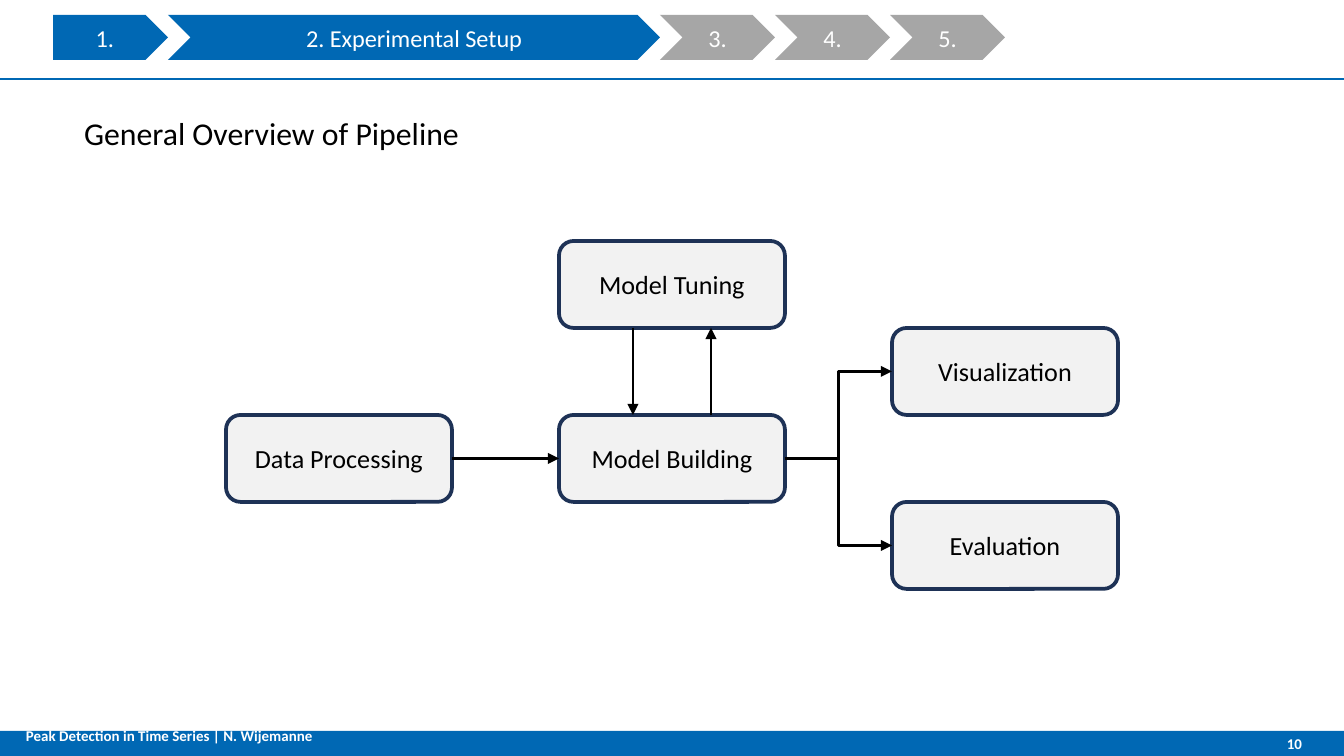
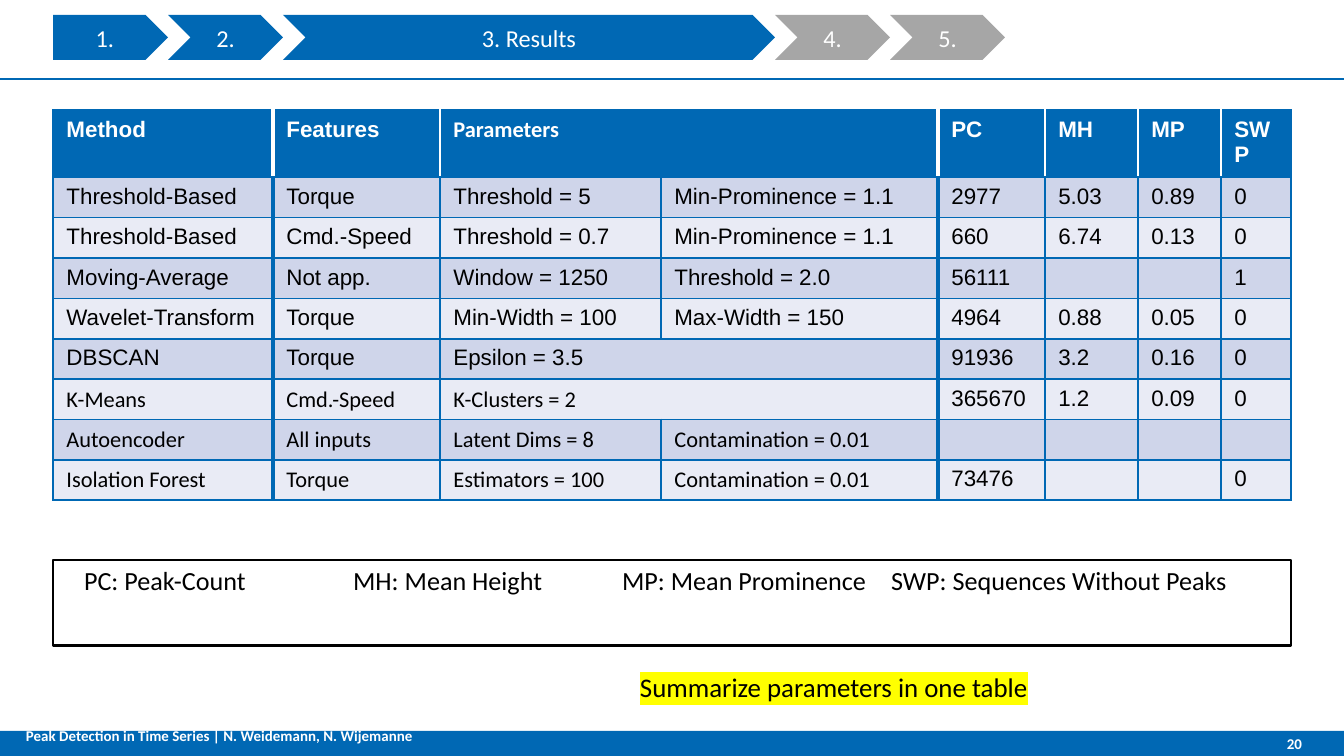
from dataclasses import dataclass

from lxml.etree import SubElement
from pptx import Presentation
from pptx.dml.color import RGBColor
from pptx.enum.shapes import MSO_CONNECTOR as Link, MSO_SHAPE as Shape
from pptx.enum.text import MSO_ANCHOR as Anchor, PP_ALIGN as Align
from pptx.oxml.ns import qn
from pptx.util import Pt

FOOTER = "Peak Detection in Time Series | "
TOPICS = ["", "Experimental Setup", "Results", "", ""]

PIPELINE_TITLE = "General Overview of Pipeline"
STAGES = {
    "Data Processing": (0, 2),
    "Model Building": (1, 2),
    "Model Tuning": (1, 0),
    "Visualization": (2, 1),
    "Evaluation": (2, 3),
}
FLOWS = [
    ("Data Processing", "Model Building", Link.STRAIGHT),
    ("Model Building", "Visualization", Link.ELBOW),
    ("Model Building", "Evaluation", Link.ELBOW),
]

RESULTS = [
    ("Method", "Features", "Parameters", None, "PC", "MH", "MP", "SWP"),
    ("Threshold-Based", "Torque", "Threshold = 5", "Min-Prominence = 1.1", "2977", "5.03", "0.89", "0"),
    ("Threshold-Based", "Cmd.-Speed", "Threshold = 0.7", "Min-Prominence = 1.1", "660", "6.74", "0.13", "0"),
    ("Moving-Average", "Not app.", "Window = 1250", "Threshold = 2.0", "56111", "", "", "1"),
    ("Wavelet-Transform", "Torque", "Min-Width = 100", "Max-Width = 150", "4964", "0.88", "0.05", "0"),
    ("DBSCAN", "Torque", "Epsilon = 3.5", None, "91936", "3.2", "0.16", "0"),
    ("K-Means", "Cmd.-Speed", "K-Clusters = 2", None, "365670", "1.2", "0.09", "0"),
    ("Autoencoder", "All inputs", "Latent Dims = 8", "Contamination = 0.01", "", "", "", ""),
    ("Isolation Forest", "Torque", "Estimators = 100", "Contamination = 0.01", "73476", "", "", "0"),
]
COLUMN_WIDTHS = [220, 167, 221, 277, 107, 93, 83, 70]
HEADER_HEIGHT, ROW_HEIGHT = 67, 40
THICK_EDGES = (1, 4)
FIRST_CALIBRI_ROW = 6
LEGEND = ["PC: Peak-Count", "MH: Mean Height", "MP: Mean Prominence", "SWP: Sequences Without Peaks"]
REMARK = "Summarize parameters in one table"


@dataclass(frozen=True)
class Theme:
    blue: str = "0068B4"
    navy: str = "1E3256"
    gray: str = "A6A6A6"
    pale: str = "F2F2F2"
    white: str = "FFFFFF"
    black: str = "000000"
    yellow: str = "FFFF00"
    bands: tuple = ("E9EBF5", "CFD5EA")
    font: str = "Calibri"
    table_font: str = "Arial"
    title: float = 17
    remark: float = 14.4
    body: float = 14
    step: float = 13
    cell: float = 12
    footer: float = 8
    line: float = 1.5
    stage_line: float = 2
    thin: float = 1
    thick: float = 2.25


THEME = Theme()
WIDTH, HEIGHT = 1344, 756
LEFT, CONTENT_TOP, CONTENT_WIDTH = 53, 110, 1238
STEP_TOP, STEP_WIDTH, WIDE_STEP, STEP_HEIGHT = 15, 115, 492, 45
BAR_TOP, BAR_HEIGHT = 731, 25
STAGE_LEFT, STAGE_TOP, STAGE_WIDTH, STAGE_HEIGHT = 226, 241, 226, 87
STAGE_PITCH = 333
TAB = 269


def px(value):
    return round(value * 914400 / 134.4)


def rgb(value):
    return RGBColor.from_string(value)


def write(frame, text, size, color=THEME.black, bold=False, align=Align.LEFT,
          anchor=Anchor.TOP, font=THEME.font, spacing=None, insets=None):
    frame.word_wrap = True
    frame.vertical_anchor = anchor
    if insets:
        (frame.margin_left, frame.margin_top,
         frame.margin_right, frame.margin_bottom) = map(px, insets)
    para = frame.paragraphs[0]
    para.text = text
    return style(para, size, color, bold, align, font, spacing)


def style(para, size, color, bold, align, font, spacing=None):
    para.alignment = align
    if spacing:
        para.line_spacing = spacing
    para.font.size = Pt(size)
    para.font.name = font
    para.font.bold = bold
    para.font.color.rgb = rgb(color)
    return para


def add_box(page, kind, place, fill=None, line=None, weight=THEME.line):
    box = page.shapes.add_shape(kind, *map(px, place))
    box.shadow.inherit = False
    if fill:
        box.fill.solid()
        box.fill.fore_color.rgb = rgb(fill)
    else:
        box.fill.background()
    if line:
        box.line.color.rgb = rgb(line)
        box.line.width = Pt(weight)
    else:
        box.line.fill.background()
    return box


def add_text(page, place, text, size, **options):
    box = page.shapes.add_textbox(*map(px, place))
    return write(box.text_frame, text, size, **options)


def add_line(page, kind, start, end, color, arrow=False):
    line = page.shapes.add_connector(kind, *map(px, start + end))
    line.line.color.rgb = rgb(color)
    line.line.width = Pt(THEME.line)
    if arrow:
        SubElement(line.get_or_add_ln(), qn("a:tailEnd"), type="triangle")
    SubElement(line._element.spPr, qn("a:effectLst"))
    return line


def add_page(deck, current, authors, number):
    page = deck.slides.add_slide(deck.slide_layouts[6])
    add_box(page, Shape.RECTANGLE, (0, BAR_TOP, WIDTH, BAR_HEIGHT), THEME.blue)
    add_line(page, Link.STRAIGHT, (WIDTH, 79), (0, 79), THEME.blue)
    left = LEFT
    for step, topic in enumerate(TOPICS, 1):
        active = step == current
        width = WIDE_STEP if active else STEP_WIDTH
        kind = Shape.PENTAGON if step == 1 else Shape.CHEVRON
        fill = THEME.blue if step <= current else THEME.gray
        box = add_box(page, kind, (left, STEP_TOP, width, STEP_HEIGHT), fill)
        label = f"{step}. {topic}" if active else f"{step}."
        write(box.text_frame, label, THEME.step, THEME.white,
              align=Align.CENTER, anchor=Anchor.MIDDLE)
        left += width
    add_text(page, (13, 720, 583, 46), FOOTER + authors, THEME.footer,
             color=THEME.white, bold=True, insets=(13, 9, 13, 13))
    add_text(page, (1176, BAR_TOP, 126, BAR_HEIGHT), str(number), THEME.footer,
             color=THEME.white, bold=True, align=Align.RIGHT,
             anchor=Anchor.MIDDLE, insets=(13, 7, 0, 7))
    return page


def add_pipeline(page):
    add_text(page, (LEFT, CONTENT_TOP, CONTENT_WIDTH, 535), PIPELINE_TITLE,
             THEME.title, spacing=0.95, insets=(31, 7, 13, 7))
    stages = {}
    for name, (column, row) in STAGES.items():
        place = (STAGE_LEFT + column * STAGE_PITCH, STAGE_TOP + row * STAGE_HEIGHT,
                 STAGE_WIDTH, STAGE_HEIGHT)
        box = add_box(page, Shape.ROUNDED_RECTANGLE, place, THEME.pale,
                      THEME.navy, THEME.stage_line)
        write(box.text_frame, name, THEME.body, align=Align.CENTER, anchor=Anchor.MIDDLE)
        stages[name] = box
    for source, target, kind in FLOWS:
        arrow = add_line(page, kind, (0, 0), (0, 0), THEME.black, arrow=True)
        arrow.begin_connect(stages[source], 3)
        arrow.end_connect(stages[target], 1)
    upper, lower = STAGE_TOP + STAGE_HEIGHT, STAGE_TOP + 2 * STAGE_HEIGHT
    for x, start, end in [(633, upper, lower), (711, lower, upper)]:
        add_line(page, Link.STRAIGHT, (x, start), (x, end), THEME.black, arrow=True)


def add_border(cell, side, color, weight):
    line = SubElement(cell._tc.get_or_add_tcPr(), qn(f"a:ln{side}"), w=str(Pt(weight)))
    fill = SubElement(line, qn("a:solidFill"))
    SubElement(fill, qn("a:srgbClr"), val=color)


def add_results(page):
    height = HEADER_HEIGHT + ROW_HEIGHT * (len(RESULTS) - 1)
    columns = len(COLUMN_WIDTHS)
    place = (LEFT, CONTENT_TOP, CONTENT_WIDTH, height)
    table = page.shapes.add_table(len(RESULTS), columns, *map(px, place)).table
    for column, width in zip(table.columns, COLUMN_WIDTHS):
        column.width = px(width)
    for r, values in enumerate(RESULTS):
        header = r == 0
        table.rows[r].height = px(ROW_HEIGHT if r else HEADER_HEIGHT)
        for c, text in enumerate(values):
            if text is None:
                continue
            cell = table.cell(r, c)
            end = c + 1
            if end < columns and values[end] is None:
                cell.merge(table.cell(r, end))
                end += 1
            for side, edge in (("L", c), ("R", end)):
                inner = header and 0 < edge < columns
                add_border(cell, side, THEME.white if inner else THEME.blue,
                           THEME.thick if edge in THICK_EDGES else THEME.thin)
            for side in "TB":
                add_border(cell, side, THEME.blue, THEME.thin)
            cell.fill.solid()
            cell.fill.fore_color.rgb = rgb(THEME.blue if header else THEME.bands[r % 2])
            calibri = (r >= FIRST_CALIBRI_ROW and c < 4) or text == "Parameters"
            para = cell.text_frame.paragraphs[0]
            para.text = text
            style(para, THEME.cell, THEME.white if header else THEME.black, header,
                  Align.LEFT, THEME.font if calibri else THEME.table_font)


def add_notes(page):
    para = add_text(page, (609, 671, 517, 60), REMARK, THEME.remark,
                    spacing=0.75, insets=(31, 7, 13, 7))
    highlight = SubElement(para.runs[0]._r.get_or_add_rPr(), qn("a:highlight"))
    SubElement(highlight, qn("a:srgbClr"), val=THEME.yellow)

    legend = add_box(page, Shape.RECTANGLE, (LEFT, 560, CONTENT_WIDTH, 86), line=THEME.black)
    frame = legend.text_frame
    tabs = SubElement(frame.paragraphs[0]._p.get_or_add_pPr(), qn("a:tabLst"))
    for stop in range(1, len(LEGEND)):
        SubElement(tabs, qn("a:tab"), pos=str(px(stop * TAB)), algn="l")
    write(frame, "\t".join(LEGEND), THEME.body, spacing=0.95, insets=(31, 7, 13, 7))


def main():
    deck = Presentation()
    deck.slide_width, deck.slide_height = px(WIDTH), px(HEIGHT)
    add_pipeline(add_page(deck, 2, "N. Wijemanne", 10))
    results = add_page(deck, 3, "N. Weidemann, N. Wijemanne", 20)
    add_results(results)
    add_notes(results)
    deck.save("out.pptx")


if __name__ == "__main__":
    main()
